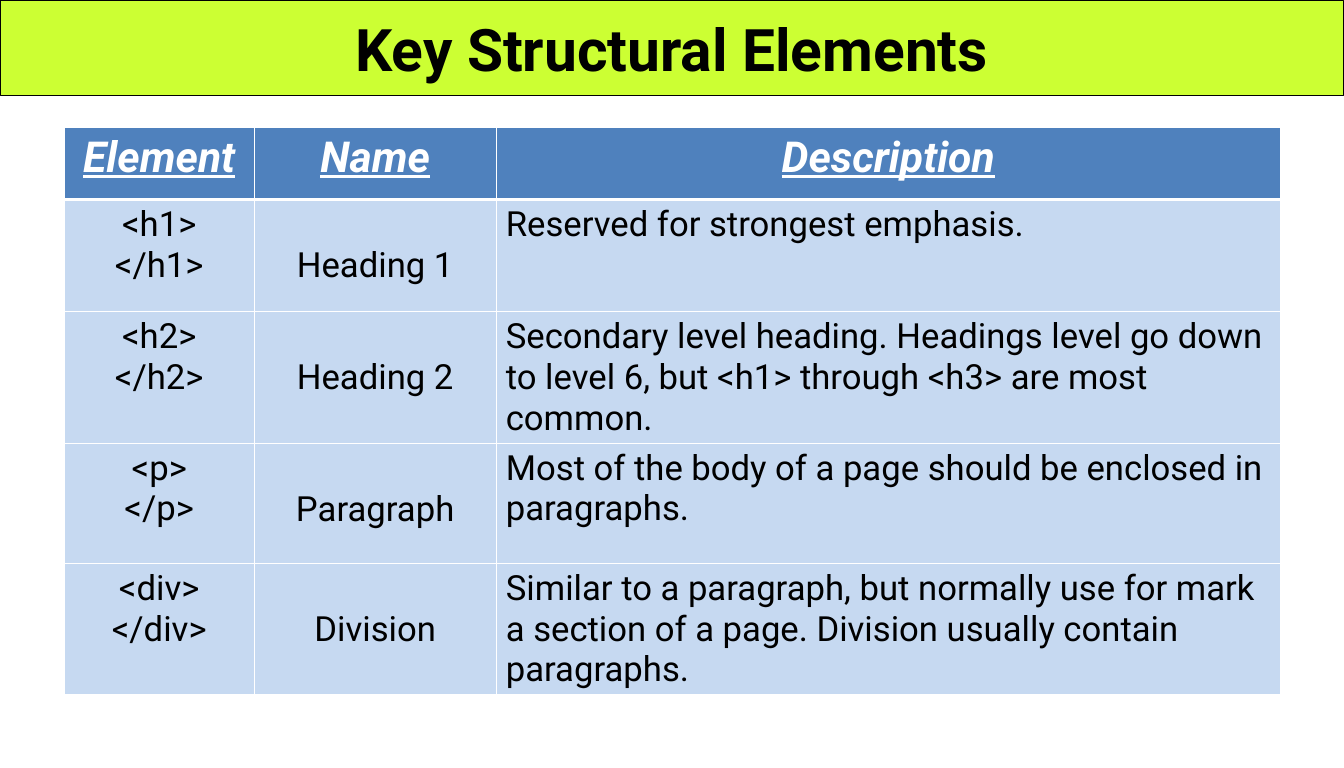
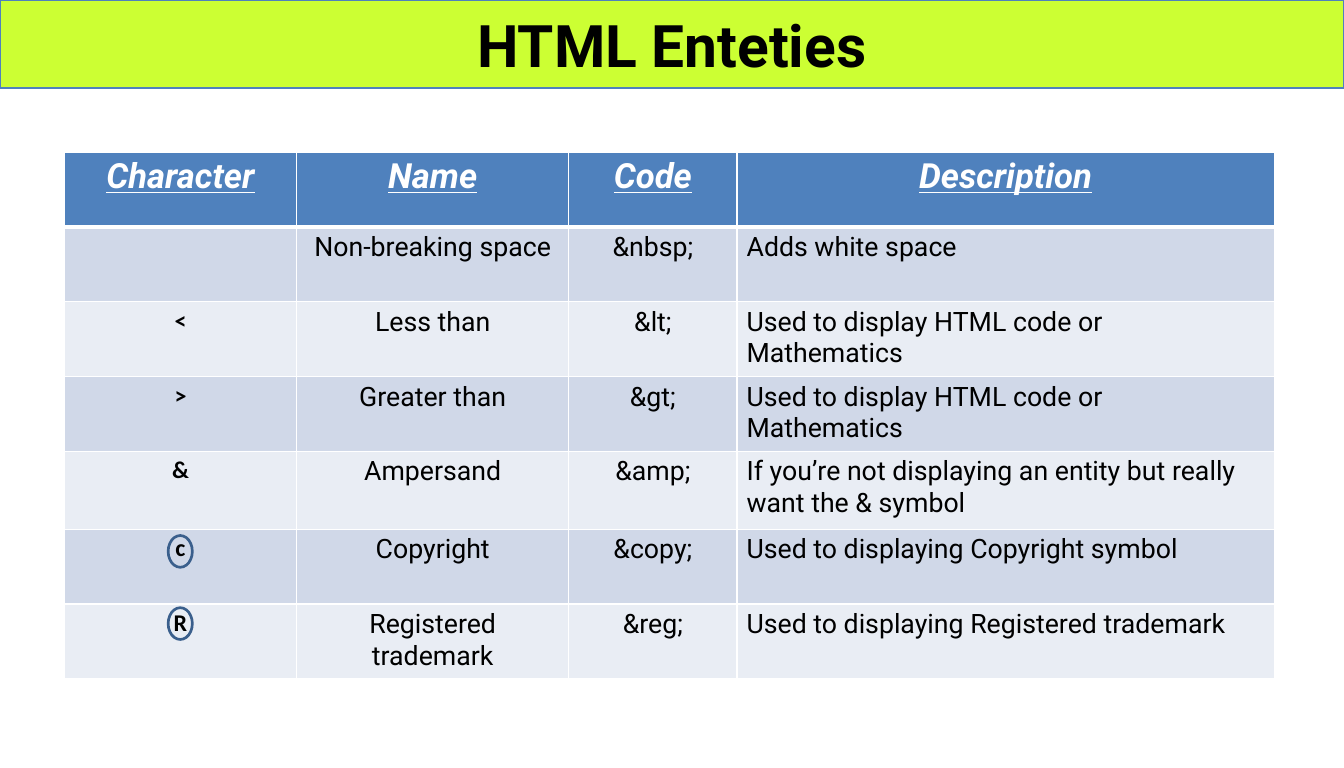
import pptx
import pptx.util
import pptx.dml.color
import pptx.enum.shapes
import pptx.enum.text
import lxml.etree

Cm = pptx.util.Cm
Pt = pptx.util.Pt
ALIGN = pptx.enum.text.PP_ALIGN
OVAL = pptx.enum.shapes.MSO_SHAPE.OVAL
MIDDLE = pptx.enum.text.MSO_ANCHOR.MIDDLE
NS = "http://schemas.openxmlformats.org/drawingml/2006/main"

LIME, BLUE, NAVY = "CCFF33", "4F81BD", "3A5F8C"
BLACK, WHITE = "000000", "FFFFFF"
WIDE = 35.56


def tint(code):
    return pptx.dml.color.RGBColor.from_string(code)


def put(frame, text, size=20, face="Roboto", color=BLACK, bold=False,
        slant=False, line=False, align=ALIGN.CENTER):
    frame.word_wrap = True
    for pos, part in enumerate(text.split("\n")):
        para = frame.add_paragraph() if pos else frame.paragraphs[0]
        para.alignment = align
        run = para.add_run()
        run.text = part
        font = run.font
        font.size, font.name = Pt(size), face
        font.bold, font.italic, font.underline = bold, slant, line
        font.color.rgb = tint(color)


pages = [
    dict(
        title="Key Structural Elements", band=2.54, edge=BLACK, stroke=0.75,
        top=3.38, cols=[5.03, 6.4, 20.75],
        rows=[1.9, 2.97, 2.97, 3.18, 3.23],
        head=32, size=26, fills=["C6D9F1"], drop=1.21, marks={}, rings=[],
        data=[
            ["Element", "Name", "Description"],
            ["<h1>\n</h1>", "Heading 1", "Reserved for strongest emphasis."],
            ["<h2>\n</h2>", "Heading 2",
             "Secondary level heading. Headings level go down to level 6, "
             "but <h1> through <h3> are most common."],
            ["<p>\n</p>", "Paragraph",
             "Most of the body of a page should be enclosed in paragraphs."],
            ["<div>\n</div>", "Division",
             "Similar to a paragraph, but normally use for mark a section "
             "of a page. Division usually contain paragraphs."],
        ],
    ),
    dict(
        title="HTML Enteties", band=2.33, edge=BLUE, stroke=1,
        top=4.02, cols=[6.15, 7.2, 4.45, 14.22],
        rows=[1.98] * 4 + [2.06] + [1.98] * 2,
        head=26, size=20, fills=["D0D8E8", "E9EDF4"], drop=0.13,
        marks=dict(size=18, face="Calibri", bold=True), rings=[14.17, 16.08],
        data=[
            ["Character", "Name", "Code", "Description"],
            ["", "Non-breaking space", "&nbsp;", "Adds white space"],
            ["<", "Less than", "&lt;",
             "Used to display HTML code or Mathematics"],
            [">", "Greater than", "&gt;",
             "Used to display HTML code or Mathematics"],
            ["&", "Ampersand", "&amp;",
             "If you’re not displaying an entity but really want "
             "the & symbol"],
            ["c", "Copyright", "&copy;",
             "Used to displaying Copyright symbol"],
            ["R", "Registered trademark", "&reg;",
             "Used to displaying Registered trademark"],
        ],
    ),
]

deck = pptx.Presentation()
deck.slide_width, deck.slide_height = Cm(WIDE), Cm(20.32)

for page in pages:
    slide = deck.slides.add_slide(deck.slide_layouts[5])
    title = slide.shapes.title
    title.left, title.top = Cm(0), Cm(0)
    title.width, title.height = Cm(WIDE), Cm(page["band"])
    title.fill.solid()
    title.fill.fore_color.rgb = tint(LIME)
    title.line.color.rgb = tint(page["edge"])
    title.line.width = Pt(page["stroke"])
    title.text_frame.vertical_anchor = MIDDLE
    put(title.text_frame, page["title"], size=44, bold=True)

    cols, rows, data = page["cols"], page["rows"], page["data"]
    grid = slide.shapes.add_table(
        len(rows), len(cols), Cm(1.7), Cm(page["top"]),
        Cm(sum(cols)), Cm(sum(rows))).table
    for col, width in zip(grid.columns, cols):
        col.width = Cm(width)
    for row, height in zip(grid.rows, rows):
        row.height = Cm(height)

    for y, texts in enumerate(data):
        for x, text in enumerate(texts):
            cell = grid.cell(y, x)
            style = dict(size=page["size"])
            fill = page["fills"][(y - 1) % len(page["fills"])]
            if y == 0:
                fill = BLUE
                style = dict(size=page["head"], color=WHITE, bold=True,
                             slant=True, line=True)
            elif x == 0:
                style.update(page["marks"])
            elif x == 1:
                cell.margin_top = Cm(page["drop"])
            elif x == len(cols) - 1:
                style["align"] = ALIGN.LEFT
            if text:
                put(cell.text_frame, text, **style)

            props = cell._tc.get_or_add_tcPr()
            for side in "LRTB":
                thick = (y, side) in [(0, "B"), (1, "T")]
                rule = lxml.etree.SubElement(
                    props, f"{{{NS}}}ln{side}", w=str(Pt(3 if thick else 1)))
                paint = lxml.etree.SubElement(rule, f"{{{NS}}}solidFill")
                lxml.etree.SubElement(paint, f"{{{NS}}}srgbClr", val=WHITE)
            cell.fill.solid()
            cell.fill.fore_color.rgb = tint(fill)

    for top in page["rings"]:
        ring = slide.shapes.add_shape(
            OVAL, Cm(4.45), Cm(top), Cm(0.64), Cm(0.84))
        ring.shadow.inherit = False
        ring.fill.background()
        ring.line.color.rgb = tint(NAVY)
        ring.line.width = Pt(2)

deck.save("out.pptx")
